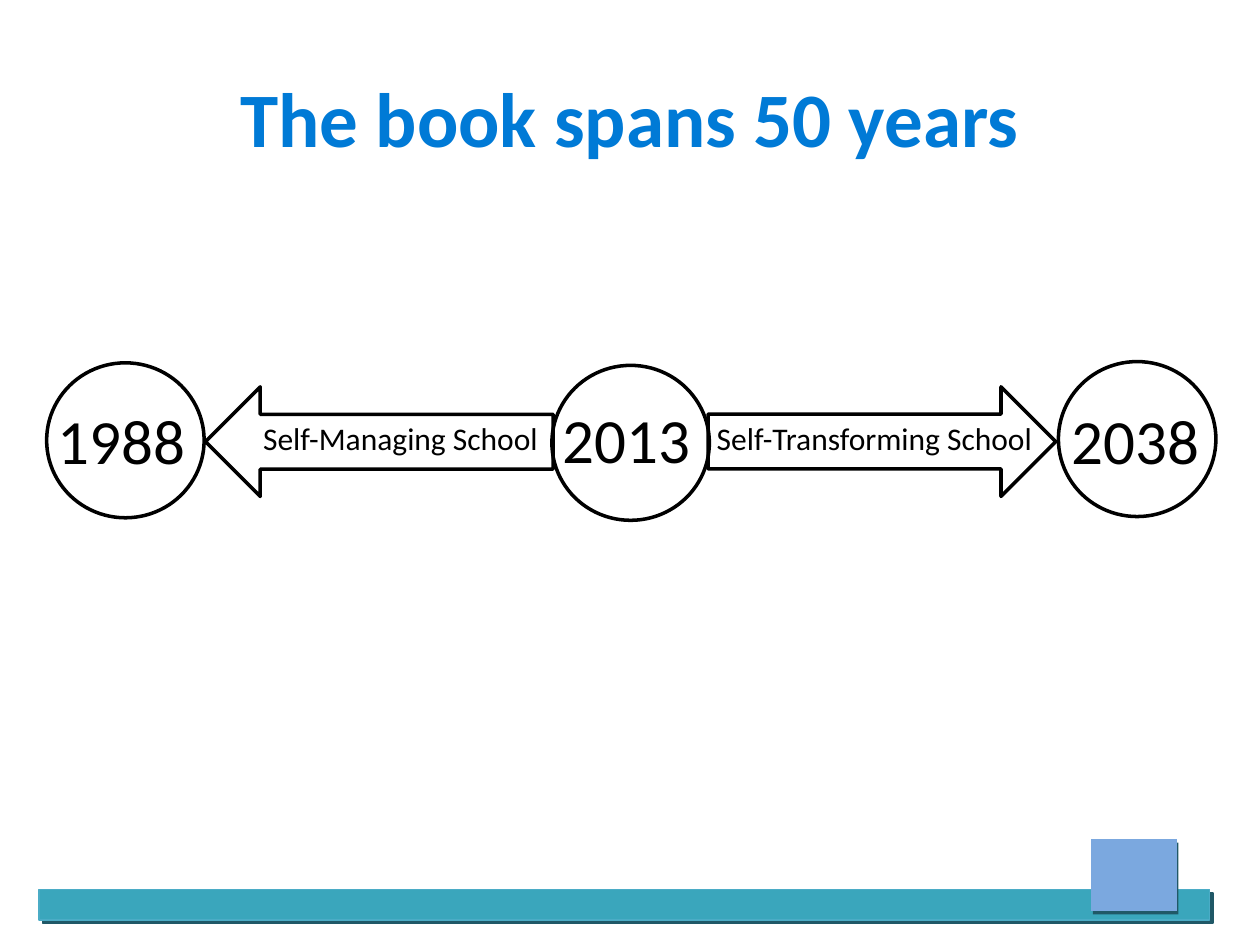
from typing import NamedTuple

from lxml import etree
from pptx import Presentation
from pptx.dml.color import RGBColor
from pptx.enum import shapes, text
from pptx.oxml import ns
from pptx.util import Inches, Pt

BLACK = "000000"
SHADOW = "205867"


class Block(NamedTuple):
    x: float
    y: float
    w: float
    h: float
    fill: str
    line: str | None
    distance: float
    angle: int


class Year(NamedTuple):
    label: str
    x: float
    y: float
    text_x: float
    text_y: float


class Era(NamedTuple):
    label: str
    x: float
    rotation: int
    text_x: float
    text_w: float


BLOCKS = [
    Block(0.31, 7.06, 9.29, 0.24, "3AA6BC", "4BACC6", 2.8, 45),
    Block(8.66, 6.66, 0.68, 0.57, "7BA8DF", None, 2.2, 63),
]
YEARS = [
    Year("1988", 0.37, 2.88, 0.36, 3.14),
    Year("2038", 8.4, 2.87, 8.41, 3.14),
    Year("2013", 4.38, 2.9, 4.37, 3.13),
]
ERAS = [
    Era("Self-Transforming School", 5.62, 0, 5.59, 2.77),
    Era("Self-Managing School", 1.63, 180, 1.99, 2.43),
]


def rgb(value: str) -> RGBColor:
    return RGBColor.from_string(value)


def add_shape(s, kind, x: float, y: float, w: float, h: float,
              fill: str | None = None, line: str | None = BLACK, weight: float = 2):
    sp = s.shapes.add_shape(kind, Inches(x), Inches(y), Inches(w), Inches(h))
    sp.shadow.inherit = False
    if fill:
        sp.fill.solid()
        sp.fill.fore_color.rgb = rgb(fill)
    else:
        sp.fill.background()
    if line:
        sp.line.color.rgb = rgb(line)
        sp.line.width = Pt(weight)
    else:
        sp.line.fill.background()
    return sp


def add_block(s, b: Block) -> None:
    sp = add_shape(s, shapes.MSO_SHAPE.RECTANGLE, b.x, b.y, b.w, b.h, b.fill, b.line, 1)
    effects = sp._element.spPr.find(ns.qn("a:effectLst"))
    shadow = etree.SubElement(effects, ns.qn("a:outerShdw"), dist=str(Pt(b.distance)),
                              dir=str(b.angle * 60000), algn="ctr", rotWithShape="0")
    etree.SubElement(shadow, ns.qn("a:srgbClr"), val=SHADOW)


def add_text(s, label: str, x: float, y: float, w: float, h: float, size: int,
             color: str = BLACK, bold: bool = False, align=text.PP_ALIGN.LEFT,
             anchor=text.MSO_ANCHOR.TOP) -> None:
    tf = s.shapes.add_textbox(Inches(x), Inches(y), Inches(w), Inches(h)).text_frame
    tf.word_wrap = True
    tf.vertical_anchor = anchor
    p = tf.paragraphs[0]
    p.text = label
    p.alignment = align
    p.font.name = "Calibri"
    p.font.size = Pt(size)
    p.font.bold = bold
    p.font.color.rgb = rgb(color)


def main() -> None:
    prs = Presentation()
    prs.slide_width, prs.slide_height = Inches(10), Inches(7.5)
    s = prs.slides.add_slide(prs.slide_layouts[6])
    for block in BLOCKS:
        add_block(s, block)
    add_text(s, "The book spans 50 years", 0.5, 0.3, 9, 1.25, 44, "007AD6", True,
             text.PP_ALIGN.CENTER, text.MSO_ANCHOR.MIDDLE)
    for year in YEARS:
        add_shape(s, shapes.MSO_SHAPE.OVAL, year.x, year.y, 1.25, 1.23)
        add_text(s, year.label, year.text_x, year.text_y, 1.26, 0.71, 36)
    for era in ERAS:
        arrow = add_shape(s, shapes.MSO_SHAPE.RIGHT_ARROW, era.x, 3.07, 2.76, 0.87)
        arrow.rotation = era.rotation
        add_text(s, era.label, era.text_x, 3.28, era.text_w, 0.4, 18)
    prs.save("out.pptx")


if __name__ == "__main__":
    main()
